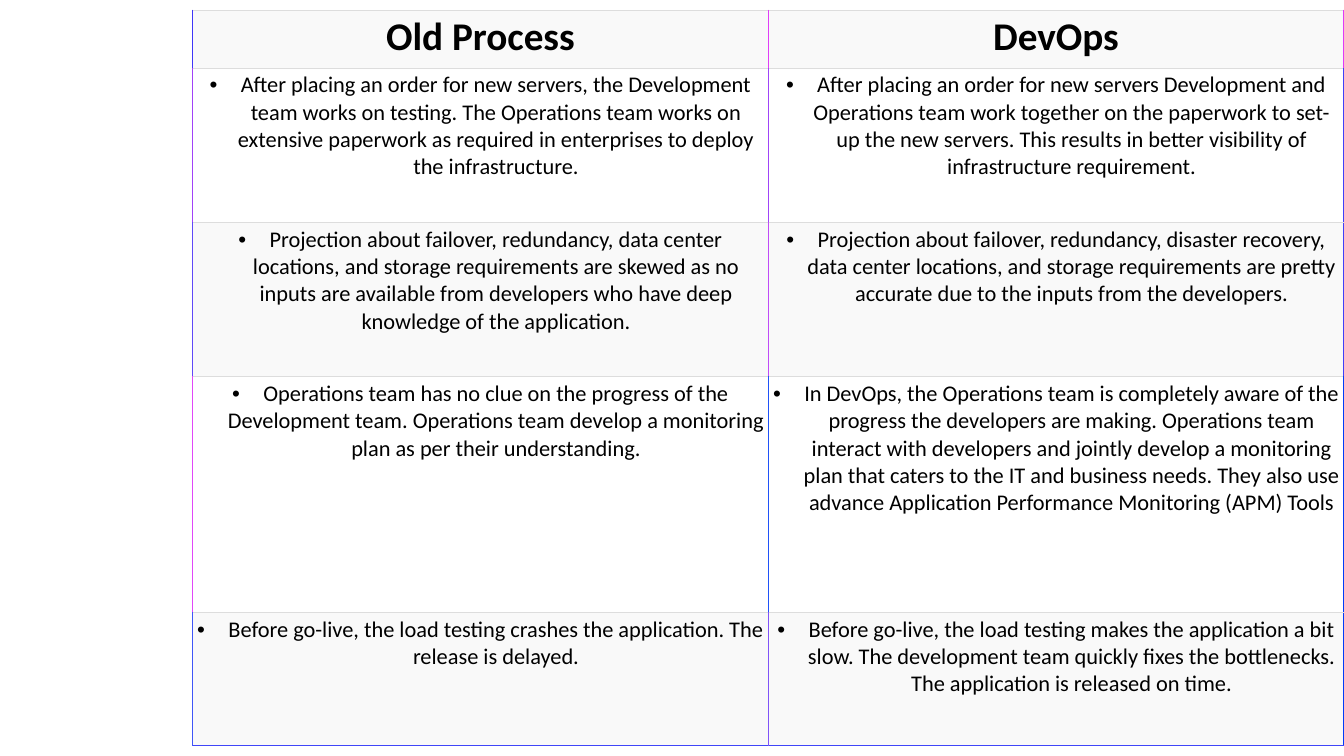
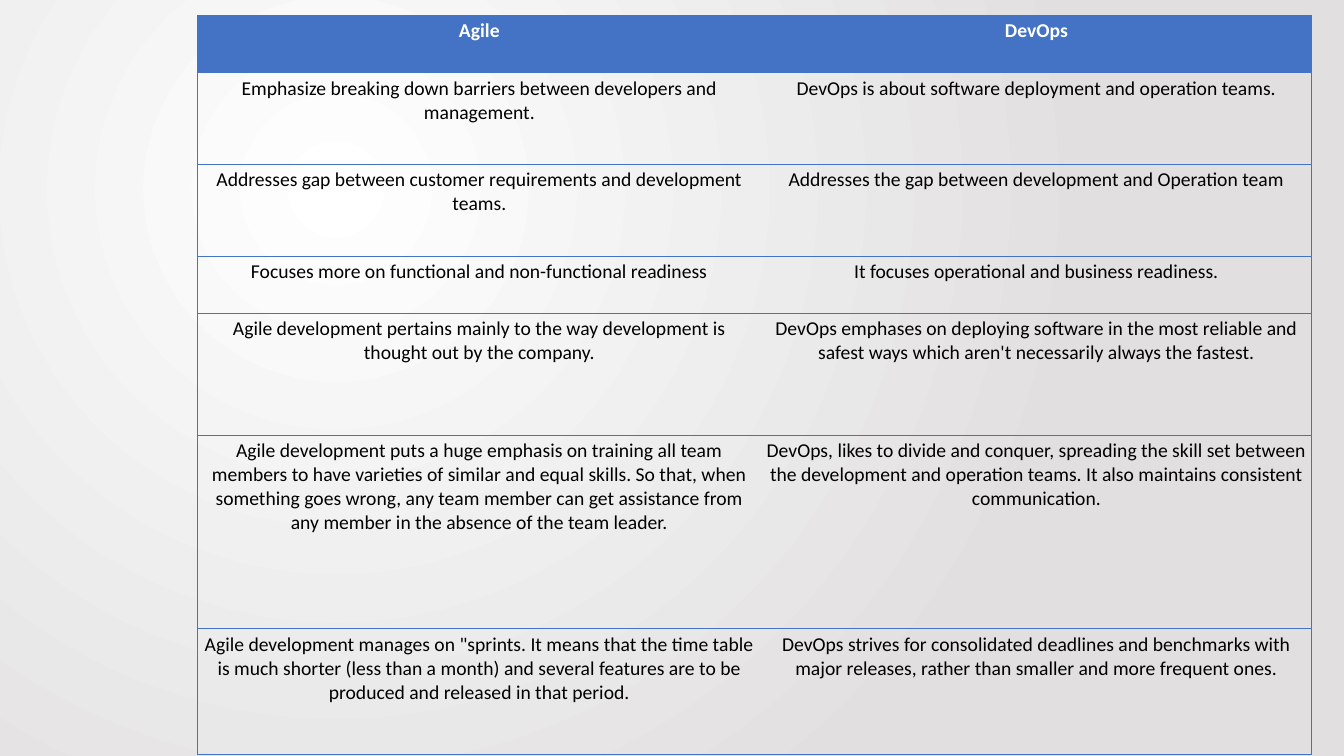
import pptx
import pptx.dml.color
import pptx.enum.text
import pptx.oxml
import pptx.oxml.ns
import pptx.util
from lxml import etree

RGBColor = pptx.dml.color.RGBColor

# Shared look
BLACK = RGBColor(0x00, 0x00, 0x00)
WHITE = RGBColor(0xFF, 0xFF, 0xFF)
PALE_GRAY = RGBColor(0xF9, 0xF9, 0xF9)
RULE_GRAY = RGBColor(0xDD, 0xDD, 0xDD)
EDGE_GRAY = RGBColor(0xE1, 0xDF, 0xDF)
BLUE = RGBColor(0x44, 0x72, 0xC4)
BOTTOM_BLUE = RGBColor(0x40, 0x45, 0xF8)

FONT = "Calibri"
PLAIN_TABLE_STYLE = "{2D5ABB26-0587-4C30-8999-92F81FD0307C}"
BULLET_INDENT = pptx.util.Inches(0.31)
SLIDE_WIDTH = pptx.util.Inches(13.33)
SLIDE_HEIGHT = pptx.util.Inches(7.5)

# Left, middle and right rule of each row in the process table
PROCESS_VERTICALS = [
    [RGBColor.from_string(code) for code in row.split()]
    for row in (
        "4036F8 E03FF8 E039F8",
        "A042F8 A044F8 403FF8",
        "6049F8 C04CF8 403FF8",
        "E048F8 2052F8 003CF8",
        "4056F8 8054F8 003CF8",
    )
]

PROCESS_ROWS = [
    ("Old Process", "DevOps"),
    ("After placing an order for new servers, the Development team works on testing. "
     "The Operations team works on extensive paperwork as required in enterprises to "
     "deploy the infrastructure.",
     "After placing an order for new servers Development and Operations team work "
     "together on the paperwork to set-up the new servers. This results in better "
     "visibility of infrastructure requirement."),
    ("Projection about failover, redundancy, data center locations, and storage "
     "requirements are skewed as no inputs are available from developers who have deep "
     "knowledge of the application.",
     "Projection about failover, redundancy, disaster recovery, data center locations, "
     "and storage requirements are pretty accurate due to the inputs from the developers."),
    ("Operations team has no clue on the progress of the Development team. Operations "
     "team develop a monitoring plan as per their understanding.",
     "In DevOps, the Operations team is completely aware of the progress the developers "
     "are making. Operations team interact with developers and jointly develop a "
     "monitoring plan that caters to the IT and business needs. They also use advance "
     "Application Performance Monitoring (APM) Tools"),
    ("Before go-live, the load testing crashes the application. The release is delayed.",
     "Before go-live, the load testing makes the application a bit slow. The development "
     "team quickly fixes the bottlenecks. The application is released on time."),
]

AGILE_ROWS = [
    ("Agile", "DevOps"),
    ("Emphasize breaking down barriers between developers and management.",
     "DevOps is about software deployment and operation teams."),
    ("Addresses gap between customer requirements and development teams.",
     "Addresses the gap between development and Operation team"),
    ("Focuses more on functional and non-functional readiness",
     "It focuses operational and business readiness."),
    ("Agile development pertains mainly to the way development is thought out by the "
     "company.",
     "DevOps emphases on deploying software in the most reliable and safest ways which "
     "aren't necessarily always the fastest."),
    ("Agile development puts a huge emphasis on training all team members to have "
     "varieties of similar and equal skills. So that, when something goes wrong, any "
     "team member can get assistance from any member in the absence of the team leader.",
     "DevOps, likes to divide and conquer, spreading the skill set between the "
     "development and operation teams. It also maintains consistent communication."),
    ("Agile development manages on \"sprints. It means that the time table is much "
     "shorter (less than a month) and several features are to be produced and released "
     "in that period.",
     "DevOps strives for consolidated deadlines and benchmarks with major releases, "
     "rather than smaller and more frequent ones."),
]

# Positions and sizes are percentages of the slide's width and height
PROCESS_TABLE = {
    "rows": PROCESS_ROWS,
    "left": 14.33,
    "top": 1.33,
    "widths": [42.83, 42.83],
    "heights": [7.73, 20.4, 20.4, 31.2, 17.6],
    "margin": 0.03,
    "header_font": {"size": pptx.util.Pt(28), "bold": True, "color": BLACK},
    "body_font": {"size": pptx.util.Pt(16), "bold": False, "color": BLACK},
    "fills": [PALE_GRAY, WHITE, PALE_GRAY, WHITE, PALE_GRAY],
    "bulleted": True,
    "verticals": PROCESS_VERTICALS,
    "vertical_points": 1,
    "horizontals": [RULE_GRAY] * len(PROCESS_ROWS) + [BOTTOM_BLUE],
    "horizontal_points": 0.75,
}

AGILE_TABLE = {
    "rows": AGILE_ROWS,
    "left": 14.7,
    "top": 2,
    "widths": [41.94, 40.96],
    "heights": [7.6, 12.13, 12.13, 7.6, 16.13, 25.6, 16.67],
    "margin": 0.04,
    "header_font": {"size": pptx.util.Pt(14), "bold": True, "color": WHITE},
    "body_font": {"size": pptx.util.Pt(14), "bold": False, "color": BLACK},
    "fills": [BLUE] + [None] * (len(AGILE_ROWS) - 1),
    "bulleted": False,
    "verticals": [[BLUE, None, BLUE]] * len(AGILE_ROWS),
    "vertical_points": 0.5,
    "horizontals": [BLUE] * (len(AGILE_ROWS) + 1),
    "horizontal_points": 0.5,
}


def across(percent):
    return round(SLIDE_WIDTH * percent / 100)


def down(percent):
    return round(SLIDE_HEIGHT * percent / 100)


def set_attributes(target, values):
    for name, value in values.items():
        setattr(target, name, value)


def add_child(parent, tag, **attributes):
    return etree.SubElement(parent, pptx.oxml.ns.qn(tag), attributes)


def set_border(cell, side, color, points):
    """Draw one side of a cell; no colour means no line."""
    line = add_child(cell._tc.get_or_add_tcPr(), f"a:ln{side}",
                     w=str(pptx.util.Pt(points)))
    if color is None:
        add_child(line, "a:noFill")
    else:
        add_child(add_child(line, "a:solidFill"), "a:srgbClr", val=str(color))


def set_bullet(paragraph):
    properties = paragraph._p.get_or_add_pPr()
    properties.set("marL", str(BULLET_INDENT))
    properties.set("indent", str(-BULLET_INDENT))
    add_child(properties, "a:buFont", typeface="Arial")
    add_child(properties, "a:buChar", char="•")


def set_text(cell, text, font, bulleted):
    paragraph = cell.text_frame.paragraphs[0]
    paragraph.alignment = pptx.enum.text.PP_ALIGN.CENTER
    if bulleted:
        set_bullet(paragraph)
    run = paragraph.add_run()
    run.text = text
    set_attributes(run.font, {"name": FONT, "size": font["size"], "bold": font["bold"]})
    run.font.color.rgb = font["color"]


def set_cell_box(cell, layout, row, column):
    margin = pptx.util.Inches(layout["margin"])
    set_attributes(cell, {f"margin_{side}": margin
                          for side in ("left", "right", "top", "bottom")})
    verticals, horizontals = layout["verticals"][row], layout["horizontals"]
    for side, color, points in (
        ("L", verticals[column], layout["vertical_points"]),
        ("R", verticals[column + 1], layout["vertical_points"]),
        ("T", horizontals[row], layout["horizontal_points"]),
        ("B", horizontals[row + 1], layout["horizontal_points"]),
    ):
        set_border(cell, side, color, points)
    fill = layout["fills"][row]
    if fill is None:
        cell.fill.background()
    else:
        cell.fill.solid()
        cell.fill.fore_color.rgb = fill


def add_comparison_table(slide, layout):
    rows, widths, heights = layout["rows"], layout["widths"], layout["heights"]
    shape = slide.shapes.add_table(
        len(rows), len(widths), across(layout["left"]), down(layout["top"]),
        across(sum(widths)), down(sum(heights)))
    table = shape.table
    table.horz_banding = False
    style = next(shape.element.iter(pptx.oxml.ns.qn("a:tableStyleId")))
    style.text = PLAIN_TABLE_STYLE

    # Grid
    for column, width in zip(table.columns, widths):
        column.width = across(width)
    for row, height in zip(table.rows, heights):
        row.height = down(height)

    # Cells
    for row, texts in enumerate(rows):
        is_header = row == 0
        font = layout["header_font" if is_header else "body_font"]
        for column, text in enumerate(texts):
            cell = table.cell(row, column)
            set_cell_box(cell, layout, row, column)
            set_text(cell, text, font, layout["bulleted"] and not is_header)


def set_radial_background(slide, center_color, edge_color):
    fill = slide.background.fill
    fill.gradient()
    for stop, color in zip(fill.gradient_stops, (center_color, edge_color)):
        stop.color.rgb = color
    gradient = next(slide.element.iter(pptx.oxml.ns.qn("a:gradFill")))
    gradient.remove(gradient.find(pptx.oxml.ns.qn("a:lin")))
    circle = add_child(gradient, "a:path", path="circle")
    add_child(circle, "a:fillToRect", l="50000", t="50000", r="100000", b="100000")


def main():
    presentation = pptx.Presentation()
    set_attributes(presentation, {"slide_width": SLIDE_WIDTH,
                                  "slide_height": SLIDE_HEIGHT})
    blank = presentation.slide_layouts[6]

    # Old process against DevOps
    process_slide = presentation.slides.add_slide(blank)
    add_comparison_table(process_slide, PROCESS_TABLE)

    # Agile against DevOps
    agile_slide = presentation.slides.add_slide(blank)
    set_radial_background(agile_slide, WHITE, EDGE_GRAY)
    add_comparison_table(agile_slide, AGILE_TABLE)

    presentation.save("out.pptx")


if __name__ == "__main__":
    main()
